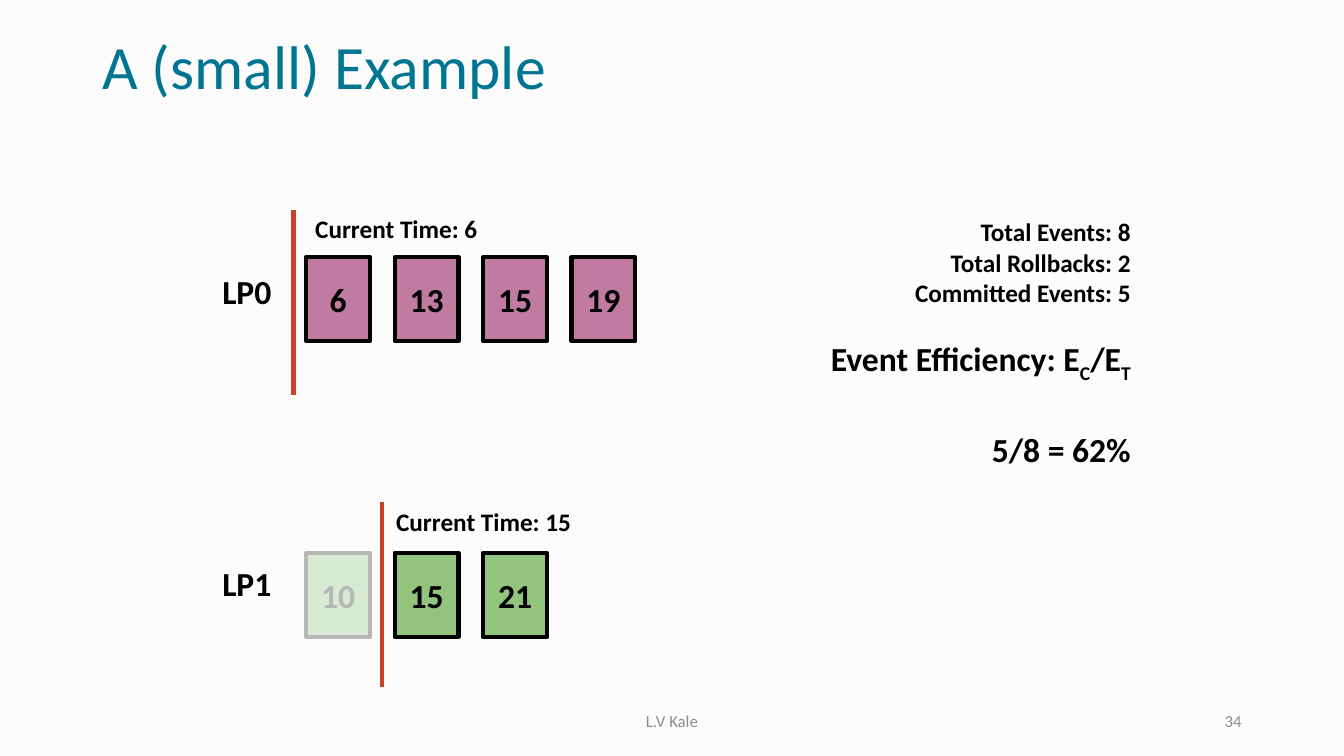
import pptx
import pptx.util
import pptx.dml.color
import pptx.enum.shapes
import pptx.enum.text
import lxml.etree

COLORS = {
    "background": "FCFCFC", "title": "007592", "ink": "000000",
    "footer": "8C8C8C", "marker": "CC4125", "pink": "C27BA0",
    "green": "93C47D", "done_fill": "D9EAD3", "done_ink": "B7B7B7",
}
FONT = "Calibri"
COLS, ROWS = 160, 90  # square cells, twelve to the inch
CELL = pptx.util.Inches(1) / 12
ALIGN = pptx.enum.text.PP_ALIGN
ANCHOR = pptx.enum.text.MSO_ANCHOR


def cells(*lengths):
    return [pptx.util.Emu(round(n * CELL)) for n in lengths]


def rgb(name):
    return pptx.dml.color.RGBColor.from_string(COLORS[name])


def add_run(p, text, size, color="ink", bold=True, subscript=False):
    r = p.add_run()
    r.text = text
    r.font.name, r.font.size, r.font.bold = FONT, pptx.util.Pt(size), bold
    r.font.color.rgb = rgb(color)
    if subscript:
        r._r.get_or_add_rPr().set("baseline", "-25000")


def set_frame(sp, align, anchor):
    """Format the text frame and return its first paragraph."""
    tf = sp.text_frame
    tf.word_wrap = True
    tf.auto_size = pptx.enum.text.MSO_AUTO_SIZE.NONE
    tf.vertical_anchor = anchor
    inset = pptx.util.Inches(0.1)
    tf.margin_left = tf.margin_right = tf.margin_top = tf.margin_bottom = inset
    p = tf.paragraphs[0]
    p.alignment = align
    return p


def add_label(s, box, text, size, align=ALIGN.LEFT, anchor=ANCHOR.TOP, **style):
    sp = s.shapes.add_textbox(*cells(*box))
    add_run(set_frame(sp, align, anchor), text, size, **style)


def add_title(s, box, text):
    sp = s.shapes.title
    sp.left, sp.top, sp.width, sp.height = cells(*box)
    p = set_frame(sp, ALIGN.LEFT, ANCHOR.BOTTOM)
    p.line_spacing = 0.9
    add_run(p, text, 44, "title", bold=False)


def add_event(s, box, time, fill, ink):
    sp = s.shapes.add_shape(pptx.enum.shapes.MSO_SHAPE.RECTANGLE, *cells(*box))
    sp.shadow.inherit = False
    sp.fill.solid()
    sp.fill.fore_color.rgb = rgb(fill)
    sp.line.color.rgb = rgb(ink)
    sp.line.width = pptx.util.Pt(3)
    add_run(set_frame(sp, ALIGN.CENTER, ANCHOR.MIDDLE), str(time), 24, ink)


def add_time_marker(s, x, top, height):
    line = s.shapes.add_connector(
        pptx.enum.shapes.MSO_CONNECTOR.STRAIGHT, *cells(x, top, x, top + height))
    line.line.color.rgb = rgb("marker")
    line.line.width = pptx.util.Pt(3)
    lxml.etree.SubElement(line._element.spPr, pptx.oxml.ns.qn("a:effectLst"))


def add_process(s, box, name, times, fill, current, event_drop, caption_gap):
    """Draw one logical process; events before index current are done."""
    left, top, height = box
    first, step = left + 13.25, 10.53
    add_label(s, (left, top + 6, 10.3, 9.2), name, 24, ALIGN.RIGHT)
    for i, time in enumerate(times):
        look = ("done_fill", "done_ink") if i < current else (fill, "ink")
        add_event(s, (first + i * step, top + event_drop, 7.6, 10), time, *look)
    marker = first + current * step - 1.5
    add_time_marker(s, marker, top, height)
    add_label(s, (marker + caption_gap, top - 0.75, 24, 4.8),
              f"Current Time: {times[current]}", 18)


def add_summary(s, box):
    """Each line: space before, size, then (text, subscript) pieces."""
    lines = [
        (0, 18, [("Total Events: 8", False)]),
        (0, 18, [("Total Rollbacks: 2", False)]),
        (0, 18, [("Committed Events: 5", False)]),
        (22, 24, [("Event Efficiency: E", False), ("C", True),
                  ("/E", False), ("T", True)]),
        (32, 24, [("5/8 = 62%", False)]),
    ]
    sp = s.shapes.add_textbox(*cells(*box))
    p = set_frame(sp, ALIGN.RIGHT, ANCHOR.TOP)
    for i, (space, size, pieces) in enumerate(lines):
        if i:
            p = sp.text_frame.add_paragraph()
            p.alignment = ALIGN.RIGHT
            p.space_before = pptx.util.Pt(space)
        for text, subscript in pieces:
            add_run(p, text, size, subscript=subscript)


def add_footer(s, top, author, number):
    style = dict(anchor=ANCHOR.MIDDLE, color="footer", bold=False)
    add_label(s, (53, top, 54, 4.8), author, 12, ALIGN.CENTER, **style)
    add_label(s, (113, top, 36, 4.8), number, 12, ALIGN.RIGHT, **style)


def main():
    prs = pptx.Presentation()
    prs.slide_width, prs.slide_height = cells(COLS, ROWS)
    s = prs.slides.add_slide(prs.slide_layouts[5])
    s.background.fill.solid()
    s.background.fill.fore_color.rgb = rgb("background")
    add_title(s, (11, 3.4, 138, 10), "A (small) Example")
    add_process(s, (23.2, 25, 22), "LP0", [6, 13, 15, 19], "pink",
                current=0, event_drop=5.6, caption_gap=1.4)
    add_process(s, (23.2, 59.8, 22), "LP1", [10, 15, 21], "green",
                current=1, event_drop=6, caption_gap=0.5)
    add_summary(s, (76.7, 24.6, 59.1, 55.3))
    add_footer(s, 83.4, "L.V Kale", "34")
    prs.save("out.pptx")


if __name__ == "__main__":
    main()
